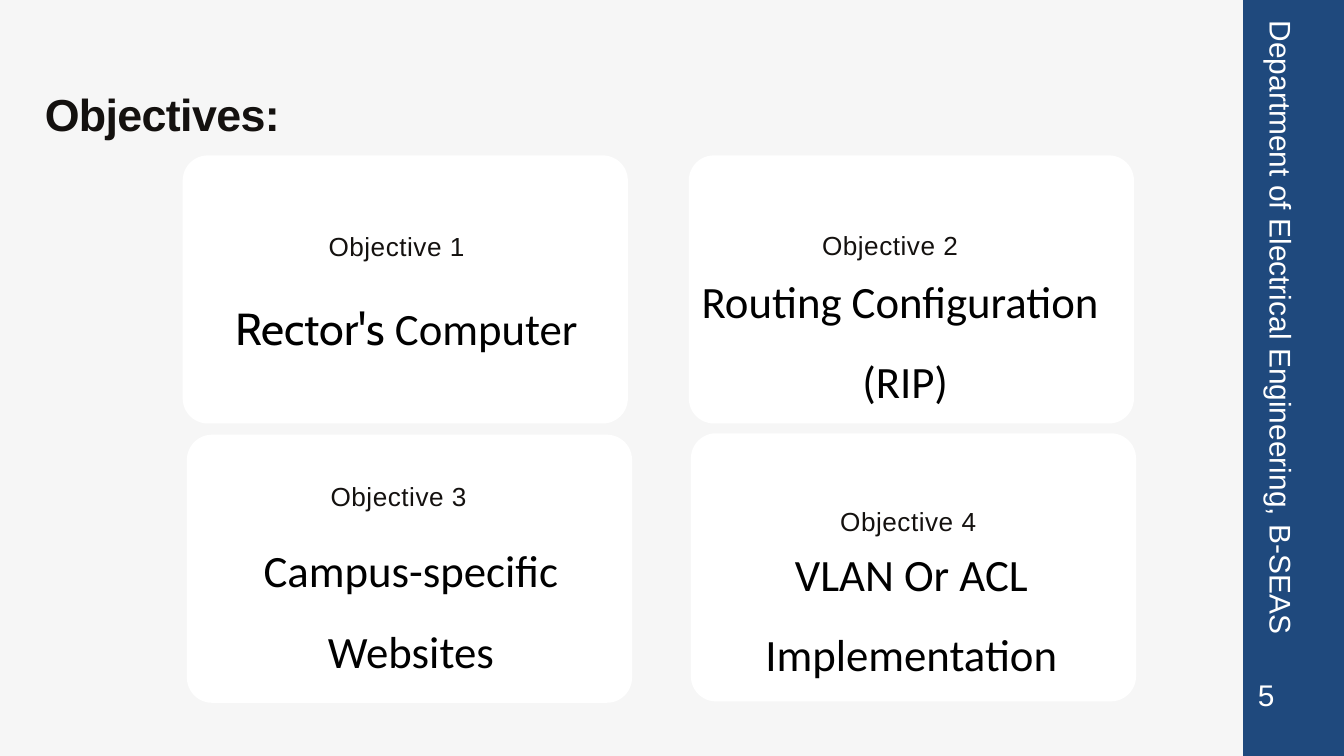
import pptx
import pptx.dml.color
import pptx.enum.shapes
import pptx.enum.text
import pptx.util

SCALE = 9525
WIDE, HIGH = 1920, 1080
CARD = (636, 383)
HUES = {"back": "F6F6F6", "card": "FFFFFF", "bar": "1F497D",
        "ink": "14110F", "black": "000000", "white": "FFFFFF"}
Pt = pptx.util.Pt
MID = pptx.enum.text.PP_ALIGN.CENTER
LEFT = pptx.enum.text.PP_ALIGN.LEFT

FONTS = {
    "title": {"name": "Arial", "size": Pt(48), "bold": True},
    "head": {"name": "Arial", "size": Pt(28)},
    "body": {"name": "Calibri", "size": Pt(48)},
    "accent": {"name": "Cabin", "size": Pt(48)},
    "side": {"name": "Arial", "size": Pt(32)},
}
INKS = {"title": "ink", "head": "ink", "body": "black",
        "accent": "black", "side": "white"}
TRACK = {"title": -70, "head": 60}

CARDS = [
    {"at": (261, 222), "head": "Objective 1", "spot": (36, 104),
     "box": (15, 132, 624, 132), "gap": Pt(114.4),
     "body": [[("Rector's ", "accent"), ("Computer ", "body")]]},
    {"at": (984, 222), "head": "Objective 2", "spot": (18, 102),
     "box": (-238, 130, 1080, 220), "gap": 1.5,
     "body": [[("Routing Configuration", "body")], [(" (RIP)", "body")]]},
    {"at": (267, 621), "head": "Objective 3", "spot": (33, 62),
     "box": (33, 116, 574, 220), "gap": 1.5,
     "body": [[("Campus-specific Websites", "body")]]},
    {"at": (987, 619), "head": "Objective 4", "spot": (41, 99),
     "box": (28, 123, 574, 220), "gap": 1.5,
     "body": [[("VLAN Or ACL Implementation", "body")]]},
]


def px(*nums):
    return [num * SCALE for num in nums]


def hue(name):
    return pptx.dml.color.RGBColor.from_string(HUES[name])


def apply(thing, vals):
    for key, val in vals.items():
        setattr(thing, key, val)


def add_text(slide, box, paras, align=LEFT, gap=1.0, turn=0):
    shape = slide.shapes.add_textbox(*px(*box))
    shape.rotation = turn
    frame = shape.text_frame
    apply(frame, {"margin_left": 0, "margin_top": 0, "margin_right": 0,
                  "margin_bottom": 0, "word_wrap": True,
                  "auto_size": pptx.enum.text.MSO_AUTO_SIZE.SHAPE_TO_FIT_TEXT})
    for num, runs in enumerate(paras):
        para = frame.add_paragraph() if num else frame.paragraphs[0]
        apply(para, {"alignment": align, "line_spacing": gap})
        for text, kind in runs:
            run = para.add_run()
            run.text = text
            apply(run.font, FONTS[kind])
            run.font.color.rgb = hue(INKS[kind])
            if kind in TRACK:
                run._r.get_or_add_rPr().set("spc", str(TRACK[kind]))


def add_block(slide, kind, box, fill):
    shape = slide.shapes.add_shape(kind, *px(*box))
    shape.shadow.inherit = False
    shape.fill.solid()
    shape.fill.fore_color.rgb = hue(fill)
    shape.line.fill.background()
    return shape


def add_title(slide, box):
    add_text(slide, box, [[("Objectives:", "title")]], gap=Pt(93.6))


def add_card(slide, box, card):
    left, top, wide, high = box
    kinds = pptx.enum.shapes.MSO_SHAPE
    shape = add_block(slide, kinds.ROUNDED_RECTANGLE, box, "card")
    shape.adjustments[0] = 36 / high
    x, y, w, h = card["box"]
    add_text(slide, (left + x, top + y, w, h), card["body"], MID, card["gap"])
    x, y = card["spot"]
    add_text(slide, (left + x, top + y, 539, 46),
             [[(card["head"], "head")]], MID, Pt(36.4))


def add_bar(slide, box):
    left, top, wide, high = box
    add_block(slide, pptx.enum.shapes.MSO_SHAPE.RECTANGLE, box, "bar")
    add_text(slide, (left - 397, top + 456, 904, 51),
             [[("Department of Electrical Engineering, B-SEAS", "side")]],
             gap=Pt(38.4), turn=90)
    add_text(slide, (left + 21, top + 967, 58, 51), [[("5", "side")]])


def main():
    deck = pptx.Presentation()
    deck.slide_width, deck.slide_height = px(WIDE, HIGH)
    slide = deck.slides.add_slide(deck.slide_layouts[6])
    slide.background.fill.solid()
    slide.background.fill.fore_color.rgb = hue("back")
    add_title(slide, (64, 76, 1224, 111))
    for card in CARDS:
        add_card(slide, card["at"] + CARD, card)
    add_bar(slide, (1776, 0, WIDE - 1776, HIGH))
    deck.save("out.pptx")


if __name__ == "__main__":
    main()
